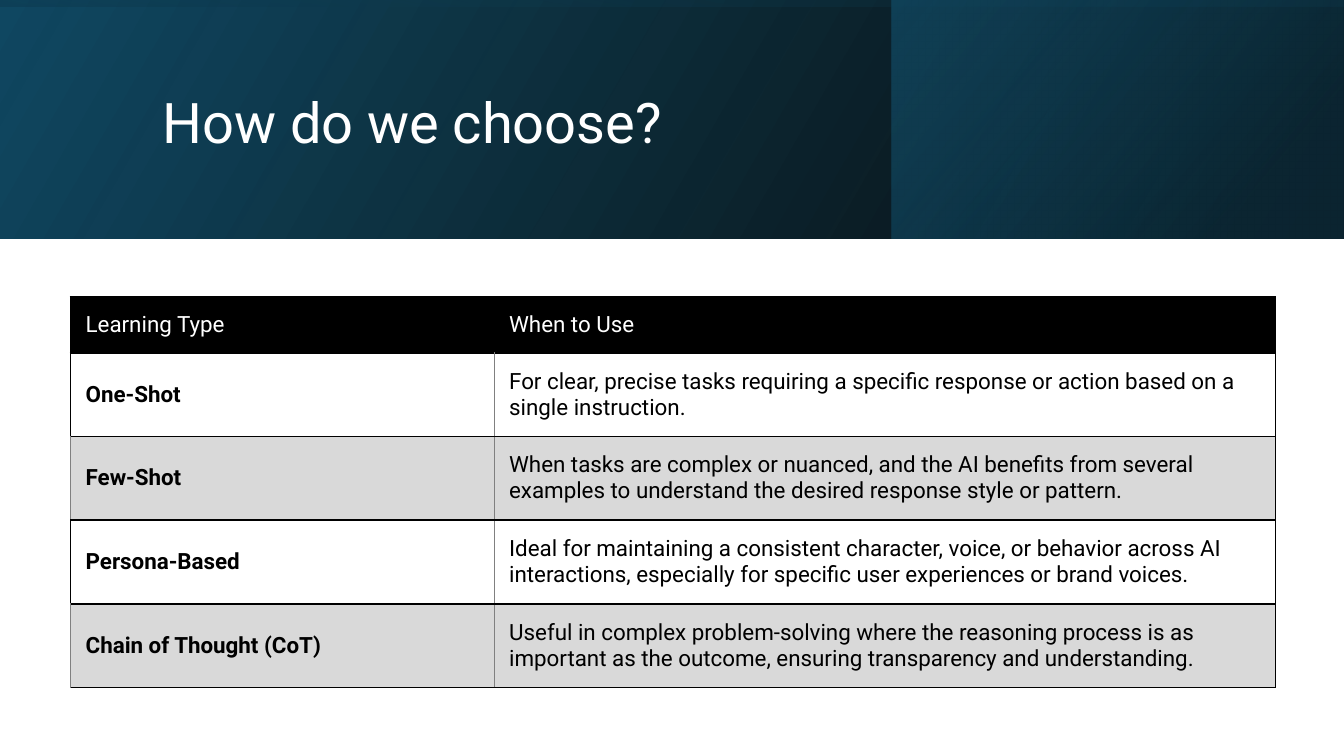
"""Build the slide that tells when to use each prompting type."""
from dataclasses import dataclass

from lxml import etree
from pptx import Presentation
from pptx.dml.color import RGBColor
from pptx.enum.shapes import MSO_SHAPE
from pptx.enum.text import MSO_ANCHOR, MSO_AUTO_SIZE, PP_ALIGN
from pptx.oxml.ns import qn
from pptx.util import Inches, Pt

RECTANGLE = MSO_SHAPE.RECTANGLE
MIDDLE = MSO_ANCHOR.MIDDLE
LEFT = PP_ALIGN.LEFT
NO_AUTOFIT = MSO_AUTO_SIZE.NONE

BLACK = RGBColor(0x00, 0x00, 0x00)
WHITE = RGBColor(0xFF, 0xFF, 0xFF)
GRAY = RGBColor(0x80, 0x80, 0x80)
LIGHT_GRAY = RGBColor(0xD9, 0xD9, 0xD9)
NAVY = RGBColor(0x10, 0x48, 0x62)
DEEP_TEAL = RGBColor(0x0B, 0x30, 0x41)
TEAL = RGBColor(0x15, 0x60, 0x82)

FONT = "Roboto"
TITLE_ONLY = 5


@dataclass(frozen=True)
class Stop:
    position: float
    color: RGBColor
    opacity: int


@dataclass(frozen=True)
class Band:
    left: float
    top: float
    width: float
    height: float
    rotation: int
    angle: int
    stops: tuple[Stop, Stop]


@dataclass(frozen=True)
class Line:
    color: RGBColor
    width: float


THICK = Line(BLACK, 1.5)
THIN = Line(GRAY, 0.5)

BANDS = [
    Band(0, 0, 13.33, 2.37, 0, 330, (Stop(0, BLACK, 96), Stop(1, NAVY, 100))),
    Band(8.84, 0, 4.48, 2.37, 0, 320, (Stop(0.19, DEEP_TEAL, 68), Stop(1, TEAL, 48))),
    Band(5.48, -5.48, 2.37, 13.33, 270, 350, (Stop(0.23, NAVY, 16), Stop(0.99, BLACK, 45))),
]

COLUMN_WIDTHS = [4.2, 7.75]
HEADER_HEIGHT = 0.55
ROW_HEIGHT = 0.83
ROWS = [
    ("Learning Type", "When to Use"),
    ("One-Shot",
     "For clear, precise tasks requiring a specific response or action based on a "
     "single instruction."),
    ("Few-Shot",
     "When tasks are complex or nuanced, and the AI benefits from several examples "
     "to understand the desired response style or pattern."),
    ("Persona-Based",
     "Ideal for maintaining a consistent character, voice, or behavior across AI "
     "interactions, especially for specific user experiences or brand voices."),
    ("Chain of Thought (CoT)",
     "Useful in complex problem-solving where the reasoning process is as important "
     "as the outcome, ensuring transparency and understanding."),
]


def add_band(s, band: Band) -> None:
    sp = s.shapes.add_shape(RECTANGLE, Inches(band.left), Inches(band.top),
                            Inches(band.width), Inches(band.height))
    sp.shadow.inherit = False
    sp.rotation = band.rotation
    sp._element.spPr.xfrm.set("flipH", "1")
    sp.line.fill.background()
    sp.fill.gradient()
    sp.fill.gradient_angle = 360 - band.angle
    for gradient_stop, stop in zip(sp.fill.gradient_stops, band.stops):
        gradient_stop.position = stop.position
        gradient_stop.color.rgb = stop.color
        alpha = etree.SubElement(gradient_stop._gs[0], qn("a:alpha"))
        alpha.set("val", str(stop.opacity * 1000))


def add_title(s, text: str) -> None:
    sp = s.shapes.title
    s.shapes._spTree.append(sp._element)
    sp.left, sp.top = Inches(1.51), Inches(0.38)
    sp.width, sp.height = Inches(10.63), Inches(1.72)
    tf = sp.text_frame
    tf.text = text
    tf.word_wrap = True
    tf.auto_size = NO_AUTOFIT
    tf.vertical_anchor = MIDDLE
    p = tf.paragraphs[0]
    p.alignment = LEFT
    p.line_spacing = 0.9
    p.font.name, p.font.size = FONT, Pt(40)
    p.font.color.rgb = WHITE


def set_borders(cell, left: Line, right: Line) -> None:
    tc_pr = cell._tc.get_or_add_tcPr()
    edges = {"a:lnL": left, "a:lnR": right, "a:lnT": THICK, "a:lnB": THICK}
    for tag, line in edges.items():
        ln = etree.SubElement(tc_pr, qn(tag), w=str(Pt(line.width)))
        fill = etree.SubElement(ln, qn("a:solidFill"))
        etree.SubElement(fill, qn("a:srgbClr"), val=str(line.color))


def format_cell(cell, text: str, row: int, column: int) -> None:
    is_header = row == 0
    is_shaded = not is_header and row % 2 == 0
    inner = THICK if is_header else THIN
    outer_left = THIN if is_shaded else THICK
    if column == 0:
        set_borders(cell, outer_left, inner)
    else:
        set_borders(cell, inner, THICK)

    if is_header or is_shaded:
        cell.fill.solid()
        cell.fill.fore_color.rgb = BLACK if is_header else LIGHT_GRAY
    else:
        cell.fill.background()

    cell.margin_left, cell.margin_right = Inches(0.15), Inches(0.14)
    cell.margin_top = cell.margin_bottom = Inches(0.12)
    cell.vertical_anchor = MIDDLE
    cell.text = text
    p = cell.text_frame.paragraphs[0]
    p.font.name, p.font.size = FONT, Pt(16)
    p.font.bold = column == 0 and not is_header
    p.font.color.rgb = WHITE if is_header else BLACK


def add_types_table(s) -> None:
    height = HEADER_HEIGHT + ROW_HEIGHT * (len(ROWS) - 1)
    table = s.shapes.add_table(len(ROWS), len(COLUMN_WIDTHS), Inches(0.7), Inches(2.95),
                               Inches(sum(COLUMN_WIDTHS)), Inches(height)).table
    table.first_row = False
    table.horz_banding = False
    for column, width in zip(table.columns, COLUMN_WIDTHS):
        column.width = Inches(width)
    for i, texts in enumerate(ROWS):
        table.rows[i].height = Inches(ROW_HEIGHT if i else HEADER_HEIGHT)
        for j, text in enumerate(texts):
            format_cell(table.cell(i, j), text, i, j)


def main() -> None:
    prs = Presentation()
    prs.slide_width, prs.slide_height = Inches(13.33), Inches(7.5)
    s = prs.slides.add_slide(prs.slide_layouts[TITLE_ONLY])
    for band in BANDS:
        add_band(s, band)
    add_title(s, "How do we choose?")
    add_types_table(s)
    prs.save("out.pptx")


if __name__ == "__main__":
    main()
